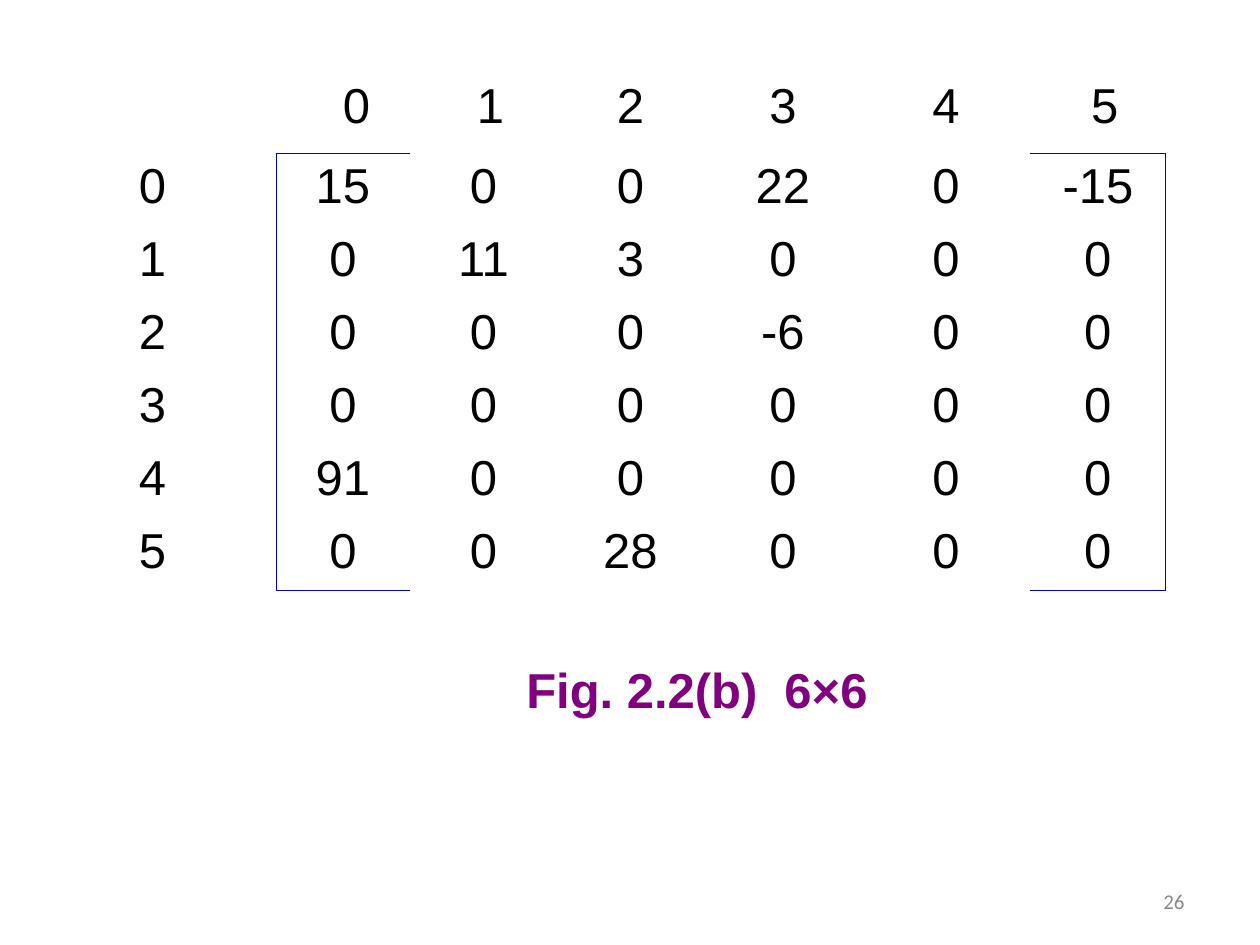
from pptx import Presentation
from pptx.dml.color import RGBColor
from pptx.enum.text import MSO_ANCHOR, PP_ALIGN
from pptx.oxml.ns import qn
from pptx.util import Pt
from lxml.etree import SubElement

EMU_PER_PX = 914400 / 126
COLORS = {"text": "000000", "frame": "0000CC", "caption": "800080", "number": "898989"}
INSET_X, INSET_Y = 13, 6

MATRIX = [
    [15, 0, 0, 22, 0, -15],
    [0, 11, 3, 0, 0, 0],
    [0, 0, 0, -6, 0, 0],
    [0, 0, 0, 0, 0, 0],
    [91, 0, 0, 0, 0, 0],
    [0, 0, 28, 0, 0, 0],
]
SIZE = len(MATRIX)
COLUMN_WIDTHS = [150, 134, 147, 147, 158, 168, 136]
HEADER_HEIGHT, ROW_HEIGHT = 80, 73
HEADER_SHIFTS = {1: 27, 2: 14, 6: 14}  # extra left inset of column labels


def px(value):
    return round(value * EMU_PER_PX)


def write_text(frame, text, size=28, font="Arial", color="text", bold=False,
               align=PP_ALIGN.LEFT):
    paragraph = frame.paragraphs[0]
    paragraph.alignment = align
    run = paragraph.add_run()
    run.text = text
    run.font.name = font
    run.font.size = Pt(size)
    run.font.bold = bold
    run.font.color.rgb = RGBColor.from_string(COLORS[color])


def add_text(slide, text, left, top, width, height, anchor=MSO_ANCHOR.TOP, **text_format):
    shape = slide.shapes.add_textbox(px(left), px(top), px(width), px(height))
    frame = shape.text_frame
    frame.word_wrap = True
    frame.vertical_anchor = anchor
    write_text(frame, text, **text_format)


def framed_sides(row, column):
    """Sides of a cell that lie on the two brackets around the matrix."""
    sides = set()
    if row > 0:
        if column == 0 or column == SIZE:
            sides.add("R")
        if column == 1:
            sides.add("L")
    if column in (1, SIZE):
        if row == 0 or row == SIZE:
            sides.add("B")
        if row == 1:
            sides.add("T")
    return sides


def set_borders(cell, sides):
    properties = cell._tc.get_or_add_tcPr()
    for side in "LRTB":
        line = SubElement(properties, qn(f"a:ln{side}"), w=str(Pt(0.45)))
        if side in sides:
            fill = SubElement(line, qn("a:solidFill"))
            SubElement(fill, qn("a:srgbClr"), val=COLORS["frame"])
        else:
            SubElement(line, qn("a:noFill"))


def add_matrix(slide, left, top):
    shape = slide.shapes.add_table(
        SIZE + 1, SIZE + 1, px(left), px(top),
        px(sum(COLUMN_WIDTHS)), px(HEADER_HEIGHT + SIZE * ROW_HEIGHT))
    table = shape.table
    table.first_row = False
    table.horz_banding = False
    for column, width in zip(table.columns, COLUMN_WIDTHS):
        column.width = px(width)
    for index, row in enumerate(table.rows):
        row.height = px(ROW_HEIGHT if index else HEADER_HEIGHT)

    # Column labels on top, row labels on the left
    rows = [["", *range(SIZE)]]
    rows += [[index, *values] for index, values in enumerate(MATRIX)]
    for row, values in enumerate(rows):
        for column, value in enumerate(values):
            cell = table.cell(row, column)
            shift = HEADER_SHIFTS.get(column, 0) if row == 0 else 0
            cell.margin_left = px(INSET_X + shift)
            cell.margin_right = px(INSET_X)
            cell.margin_top = cell.margin_bottom = px(INSET_Y)
            set_borders(cell, framed_sides(row, column))
            cell.fill.background()
            if value != "":
                write_text(cell.text_frame, str(value),
                           align=PP_ALIGN.CENTER if column else PP_ALIGN.LEFT)


def main():
    presentation = Presentation()
    presentation.slide_width = px(1260)
    presentation.slide_height = px(945)
    slide = presentation.slides.add_slide(presentation.slide_layouts[6])

    # Slide number
    add_text(slide, "26", 903, 876, 294, 50, anchor=MSO_ANCHOR.MIDDLE, size=12,
             font="Calibri", color="number", align=PP_ALIGN.RIGHT)
    # Matrix and its caption
    add_matrix(slide, 126, 73)
    add_text(slide, "Fig. 2.2(b)  6×6", 514, 653, 388, 72, color="caption", bold=True)

    presentation.save("out.pptx")


if __name__ == "__main__":
    main()
